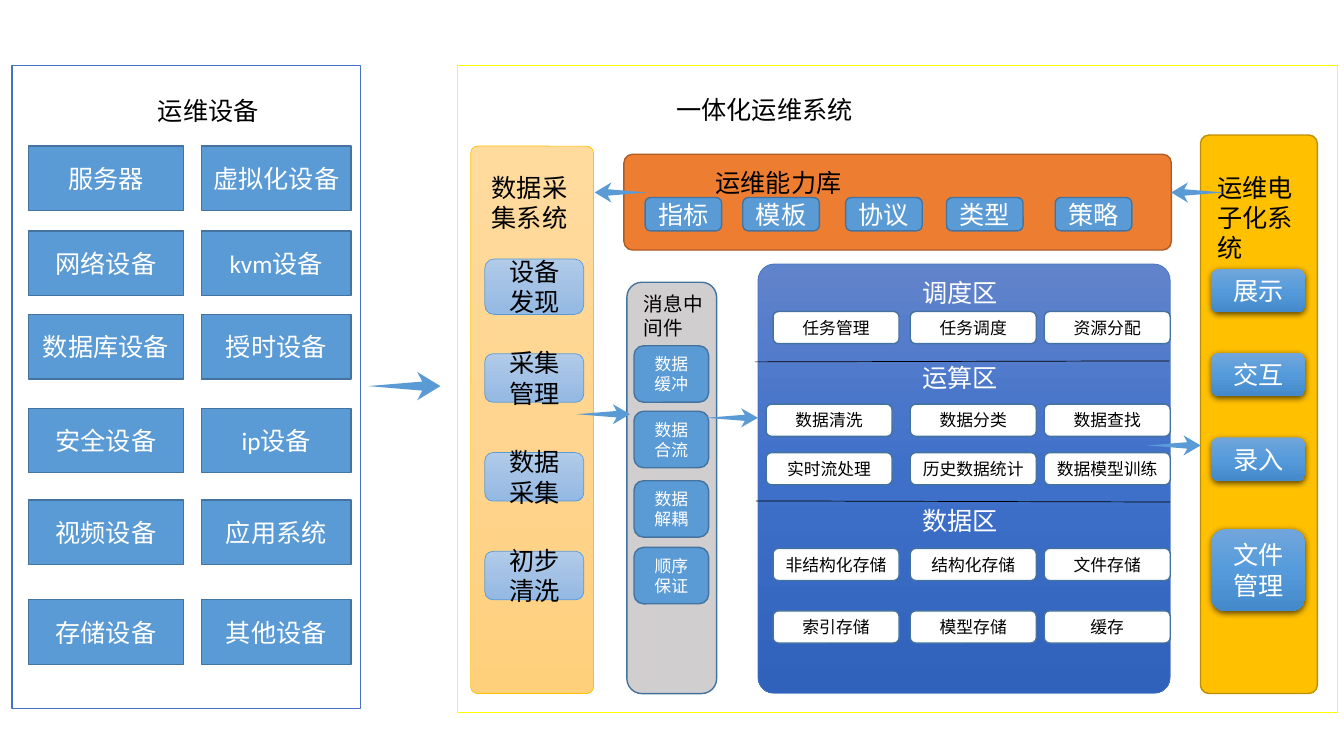
from copy import deepcopy
from dataclasses import dataclass
from typing import Any, Optional

from lxml.etree import SubElement
from pptx import Presentation
from pptx.dml.color import RGBColor
from pptx.enum.shapes import MSO_CONNECTOR, MSO_SHAPE
from pptx.enum.text import MSO_ANCHOR, MSO_AUTO_SIZE, PP_ALIGN
from pptx.oxml.ns import qn
from pptx.util import Pt

WHITE = RGBColor(0xFF, 0xFF, 0xFF)
BLACK = RGBColor(0x00, 0x00, 0x00)
BLUE = RGBColor(0x5B, 0x9B, 0xD5)
EDGE = RGBColor(0x43, 0x73, 0x9E)
INDIGO = RGBColor(0x44, 0x72, 0xC4)
YELLOW = RGBColor(0xFF, 0xFF, 0x00)
GOLD = RGBColor(0xFF, 0xC0, 0x00)
GOLD_EDGE = RGBColor(0xBD, 0x8E, 0x00)
ORANGE = RGBColor(0xED, 0x7D, 0x31)
ORANGE_EDGE = RGBColor(0xAF, 0x5C, 0x24)
GREY = RGBColor(0xD0, 0xCE, 0xCE)
SAND = (RGBColor(0xFF, 0xDB, 0x9E), RGBColor(0xFF, 0xD5, 0x90), RGBColor(0xFF, 0xD0, 0x7C))
PALE_BLUE = (RGBColor(0xB1, 0xCB, 0xE9), RGBColor(0xA3, 0xC1, 0xE5), RGBColor(0x93, 0xB9, 0xE4))
GLOSSY_BLUE = (RGBColor(0x71, 0xA6, 0xDB), RGBColor(0x55, 0x9B, 0xDB), RGBColor(0x44, 0x8A, 0xCA))
DEEP_BLUE = (RGBColor(0x61, 0x83, 0xCB), RGBColor(0x3E, 0x70, 0xCA), RGBColor(0x30, 0x62, 0xBB))
FONT = "Calibri"


@dataclass(frozen=True)
class Style:
    fill: tuple[RGBColor, ...]
    edge: Optional[RGBColor]
    edge_width: float = 1
    size: float = 18
    ink: RGBColor = WHITE
    rounding: Optional[float] = 0.1667
    raised: bool = False


@dataclass(frozen=True)
class Box:
    left: float
    top: float
    width: float
    height: float
    text: str = ""


@dataclass(frozen=True)
class Label:
    box: Box
    size: float = 18
    ink: RGBColor = BLACK
    align: PP_ALIGN = PP_ALIGN.LEFT


DEVICE = Style((BLUE,), EDGE, rounding=None)
CHIP = Style((BLUE,), EDGE)
QUEUE_STEP = Style((BLUE,), EDGE, size=12)
TASK = Style((WHITE,), EDGE, size=12, ink=BLACK)
COLLECT_STEP = Style(PALE_BLUE, BLUE, 0.5, ink=BLACK)
PORTAL_BUTTON = Style(GLOSSY_BLUE, None, raised=True)

PANELS = [
    (Box(8.6, 46.8, 249.1, 459.4), Style((WHITE,), INDIGO, rounding=None)),
    (Box(326.9, 46.8, 628.6, 462.2), Style((WHITE,), YELLOW, rounding=None)),
    (Box(336.2, 104.4, 87.8, 391), Style(SAND, GOLD, 0.5, rounding=0.057)),
    (Box(857.5, 96.5, 83.5, 398.9), Style((GOLD,), GOLD_EDGE, rounding=0.072)),
    (Box(445.7, 110.2, 391, 68.4), Style((ORANGE,), ORANGE_EDGE, rounding=0.09)),
    (Box(447.8, 201.6, 64.1, 293.8), Style((GREY,), EDGE)),
    (Box(541.4, 188.6, 294.5, 306.7), Style(DEEP_BLUE, INDIGO, 0.5, rounding=0.04)),
]
TITLE = Label(Box(475.9, 64.1, 149.8, 28.8, "一体化运维系统"))
LABELS = [
    Label(Box(105.8, 64.8, 110.9, 28.8, "运维设备")),
    Label(Box(344.2, 119.5, 72, 51.1, "数据采集系统")),
    Label(Box(862.6, 119.5, 72.7, 72.7, "运维电子化系统")),
    Label(Box(504, 115.9, 285.1, 28.8, "运维能力库")),
    Label(Box(452.9, 205.2, 56.9, 41, "消息中间件"), size=14),
] + [
    Label(Box(604, top, 164, 28.8, zone), ink=WHITE, align=PP_ALIGN.CENTER)
    for zone, top in (("调度区", 194.4), ("运算区", 255.6), ("数据区", 357.1))
]
DEVICE_ROWS = [
    (104.4, "服务器", "虚拟化设备"), (164.9, "网络设备", "kvm设备"),
    (224.6, "数据库设备", "授时设备"), (291.6, "安全设备", "ip设备"),
    (357.1, "视频设备", "应用系统"), (428.4, "存储设备", "其他设备"),
]
CHIPS = [(460.8, "指标"), (530.6, "模板"), (604.1, "协议"), (676.1, "类型"), (753.8, "策略")]
QUEUE_STEPS = [(247, "数据缓冲"), (293.8, "数据合流"), (343.4, "数据解耦"), (391, "顺序保证")]
COLLECT_STEPS = [(185, 39.6, "设备发现"), (252.7, 34.6, "采集管理"),
                 (323.3, 34.6, "数据采集"), (393.8, 34.6, "初步清洗")]
PORTAL_BUTTONS = [(192.2, 31, "展示"), (252, 31, "交互"), (312.5, 31, "录入"), (378, 58.3, "文件管理")]
TASK_ROWS = [  # top, left of first column, texts
    (222.5, 552.2, ("任务管理", "任务调度", "资源分配")),
    (288.7, 547.2, ("数据清洗", "数据分类", "数据查找")),
    (323.3, 547.2, ("实时流处理", "历史数据统计", "数据模型训练")),
    (391.7, 552.2, ("非结构化存储", "结构化存储", "文件存储")),
    (436.3, 552.2, ("索引存储", "模型存储", "缓存")),
]
DIVIDERS = [(539.3, 258.5, 835.2, 257.8), (540, 357.8, 835.9, 358.6)]
ARROW_OUTLINE = [(0.68, 0), (1, 0.5), (0.68, 1), (0.75, 0.66), (0, 0.5), (0.75, 0.34)]
ARROWS = [  # box, points left
    (Box(262.8, 265.7, 51.8, 20.2), False),
    (Box(411.8, 288.7, 38.2, 14.4), False),
    (Box(504, 291.6, 37.4, 13.7), False),
    (Box(819.4, 311, 38.2, 14.4), False),
    (Box(424.8, 130.3, 37.4, 14.4), True),
    (Box(836.6, 130.3, 37.4, 14.4), True),
]


def assign(target: Any, values: dict[str, Any]) -> None:
    for name, value in values.items():
        setattr(target, name, value)


def frame_of(box: Box) -> tuple[Pt, Pt, Pt, Pt]:
    return Pt(box.left), Pt(box.top), Pt(box.width), Pt(box.height)


def write(shape: Any, text: str, size: float, ink: RGBColor, align: PP_ALIGN, anchor: MSO_ANCHOR) -> None:
    assign(shape.text_frame, {"word_wrap": True, "auto_size": MSO_AUTO_SIZE.NONE, "vertical_anchor": anchor})
    para = shape.text_frame.paragraphs[0]
    para.alignment = align
    span = para.add_run()
    span.text = text
    assign(span.font, {"name": FONT, "size": Pt(size)})
    span.font.color.rgb = ink


def paint(shape: Any, colours: tuple[RGBColor, ...]) -> None:
    if len(colours) == 1:
        shape.fill.solid()
        shape.fill.fore_color.rgb = colours[0]
        return
    shape.fill.gradient()
    shape.fill.gradient_angle = 270
    first = shape.element.spPr.find(".//" + qn("a:gs"))
    first.addnext(deepcopy(first))
    for index, (stop, colour) in enumerate(zip(shape.fill.gradient_stops, colours)):
        stop.position = index / 2
        stop.color.rgb = colour


def add_shadow(shape: Any) -> None:
    effects = shape.element.spPr.find(qn("a:effectLst"))
    shadow = SubElement(effects, qn("a:outerShdw"), blurRad=str(Pt(4.5)), dist=str(Pt(1.5)), dir="5400000")
    colour = SubElement(shadow, qn("a:srgbClr"), val=str(BLACK))
    SubElement(colour, qn("a:alpha"), val="63000")


def draw_box(page: Any, box: Box, style: Style) -> None:
    kind = MSO_SHAPE.RECTANGLE if style.rounding is None else MSO_SHAPE.ROUNDED_RECTANGLE
    shape = page.shapes.add_shape(kind, *frame_of(box))
    shape.shadow.inherit = False
    if style.rounding is not None:
        shape.adjustments[0] = style.rounding
    paint(shape, style.fill)
    if style.edge is None:
        shape.line.fill.background()
    else:
        shape.line.color.rgb = style.edge
        shape.line.width = Pt(style.edge_width)
    if style.raised:
        add_shadow(shape)
    if box.text:
        write(shape, box.text, style.size, style.ink, PP_ALIGN.CENTER, MSO_ANCHOR.MIDDLE)


def draw_label(shape: Any, label: Label) -> None:
    assign(shape, dict(zip(("left", "top", "width", "height"), frame_of(label.box))))
    write(shape, label.box.text, label.size, label.ink, label.align, MSO_ANCHOR.TOP)


def draw_arrow(page: Any, box: Box, points_left: bool) -> None:
    corners = [(Pt(box.left + box.width * (1 - x if points_left else x)), Pt(box.top + box.height * y))
               for x, y in ARROW_OUTLINE]
    builder = page.shapes.build_freeform(*corners[0], scale=1.0)
    builder.add_line_segments(corners[1:], close=True)
    arrow = builder.convert_to_shape()
    arrow.shadow.inherit = False
    paint(arrow, (BLUE,))
    arrow.line.fill.background()


def draw_divider(page: Any, ends: tuple[float, ...]) -> None:
    line = page.shapes.add_connector(MSO_CONNECTOR.STRAIGHT, *map(Pt, ends))
    line.line.color.rgb = BLACK
    line.line.width = Pt(0.5)
    SubElement(line.element.spPr, qn("a:effectLst"))


deck = Presentation()
assign(deck, {"slide_width": Pt(960), "slide_height": Pt(540)})
page = deck.slides.add_slide(deck.slide_layouts[5])

# Panels, with the title raised above them
for panel, look in PANELS:
    draw_box(page, panel, look)
title = page.shapes.title
page.shapes.element.append(title.element)
draw_label(title, TITLE)
for label in LABELS:
    draw_label(page.shapes.add_textbox(*frame_of(label.box)), label)

# Boxes inside the panels
for top, first, second in DEVICE_ROWS:
    draw_box(page, Box(20.2, top, 110.9, 46.1, first), DEVICE)
    draw_box(page, Box(144, top, 106.6, 46.1, second), DEVICE)
for left, text in CHIPS:
    draw_box(page, Box(left, 141.1, 54.7, 23.8, text), CHIP)
for top, text in QUEUE_STEPS:
    draw_box(page, Box(452.9, top, 53.3, 40.3, text), QUEUE_STEP)
for top, height, text in COLLECT_STEPS:
    draw_box(page, Box(346.3, top, 70.6, height, text), COLLECT_STEP)
for top, height, text in PORTAL_BUTTONS:
    draw_box(page, Box(865.4, top, 67, height, text), PORTAL_BUTTON)
for top, start, texts in TASK_ROWS:
    for left, text in zip((start, 650.2, 745.9), texts):
        draw_box(page, Box(left, top, 90, 23, text), TASK)

# Zone dividers and flow arrows
for ends in DIVIDERS:
    draw_divider(page, ends)
for box, points_left in ARROWS:
    draw_arrow(page, box, points_left)

deck.save("out.pptx")
